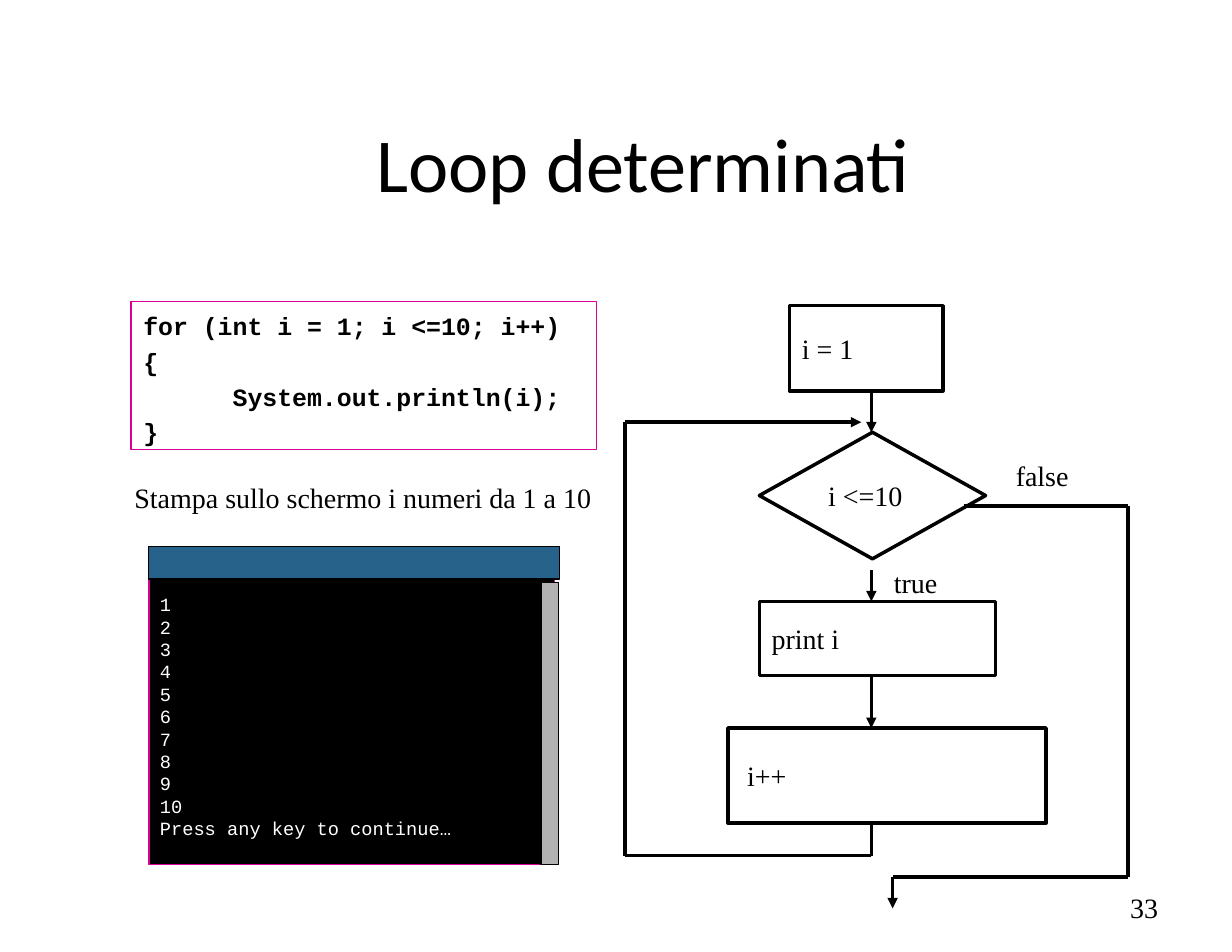
from dataclasses import dataclass, field
from itertools import pairwise

import pptx
import pptx.dml.color
import pptx.enum.shapes
import pptx.enum.text
import pptx.oxml
import pptx.oxml.ns
import pptx.util

WIDTH, HEIGHT = pptx.util.Inches(11), pptx.util.Inches(8.5)
COLS, ROWS = 110, 85

COLORS = {
    "ink": "000000",
    "paper": "FFFFFF",
    "magenta": "D60093",
    "titlebar": "26628A",
    "scrollbar": "B2B2B2",
}
SHAPES = pptx.enum.shapes.MSO_SHAPE
ALIGN = pptx.enum.text.PP_ALIGN
ANCHOR = pptx.enum.text.MSO_ANCHOR

SERIF = {"name": "Times New Roman", "size": pptx.util.Pt(18)}
TITLE = {"name": "Calibri", "size": pptx.util.Pt(49)}
CODE = {"name": "Courier New", "size": pptx.util.Pt(16), "bold": True}
CONSOLE = {"name": "Courier New", "size": pptx.util.Pt(12)}
CODE_SPACING = {"space_before": pptx.util.Pt(10), "line_spacing": 0.65}


@dataclass
class Text:
    lines: list[str]
    font: dict = field(default_factory=lambda: SERIF)
    color: str = "ink"
    align: int = ALIGN.LEFT
    anchor: int = ANCHOR.MIDDLE
    left: float = 0.11
    top: float = 0.06
    wrap: bool = True
    spacing: dict = field(default_factory=dict)


@dataclass
class Box:
    col: float
    row: float
    cols: float
    rows: float
    text: Text | None = None
    shape: int | None = SHAPES.RECTANGLE
    fill: str | None = None
    line: str = "ink"
    weight: float = 2.25
    turn: float = 0


@dataclass
class Route:
    points: list[tuple[float, float]]
    arrow: bool = True


def x(col: float) -> int:
    return round(WIDTH * col / COLS)


def y(row: float) -> int:
    return round(HEIGHT * row / ROWS)


def rgb(name: str) -> pptx.dml.color.RGBColor:
    return pptx.dml.color.RGBColor.from_string(COLORS[name])


def apply(target: object, values: dict) -> None:
    for name, value in values.items():
        setattr(target, name, value)


def write(tf: pptx.text.text.TextFrame, text: Text) -> None:
    apply(tf, {
        "word_wrap": text.wrap,
        "vertical_anchor": text.anchor,
        "margin_left": pptx.util.Inches(text.left),
        "margin_right": pptx.util.Inches(0.11),
        "margin_top": pptx.util.Inches(text.top),
        "margin_bottom": pptx.util.Inches(0.06),
    })
    for i, line in enumerate(text.lines):
        p = tf.add_paragraph() if i else tf.paragraphs[0]
        p.alignment = text.align
        if i:
            apply(p, text.spacing)
        r = p.add_run()
        r.text = line
        apply(r.font, text.font)
        r.font.color.rgb = rgb(text.color)


def draw_box(s: pptx.slide.Slide, box: Box) -> None:
    frame = x(box.col), y(box.row), x(box.cols), y(box.rows)
    if box.shape is None:
        sp = s.shapes.add_textbox(*frame)
    else:
        sp = s.shapes.add_shape(box.shape, *frame)
        sp.shadow.inherit = False
        sp.rotation = box.turn
        if box.fill:
            sp.fill.solid()
            sp.fill.fore_color.rgb = rgb(box.fill)
        else:
            sp.fill.background()
        sp.line.color.rgb = rgb(box.line)
        sp.line.width = pptx.util.Pt(box.weight)
    if box.text:
        write(sp.text_frame, box.text)


def draw_route(s: pptx.slide.Slide, route: Route) -> None:
    for start, end in pairwise(route.points):
        sp = s.shapes.add_connector(
            pptx.enum.shapes.MSO_CONNECTOR.STRAIGHT,
            x(start[0]), y(start[1]), x(end[0]), y(end[1]))
        sp.line.color.rgb = rgb("ink")
        sp.line.width = pptx.util.Pt(2.25)
        if route.arrow and end == route.points[-1]:
            tail = pptx.oxml.parse_xml(
                f'<a:tailEnd {pptx.oxml.ns.nsdecls("a")} type="triangle"/>')
            sp.line._get_or_add_ln().append(tail)
        sp._element.spPr.append(pptx.oxml.parse_xml(
            f'<a:effectLst {pptx.oxml.ns.nsdecls("a")}/>'))


def label(text: str, wrap: bool = False) -> Text:
    return Text([text], anchor=ANCHOR.TOP, wrap=wrap)


AXIS = 77.8
LOOP_COL, LOOP_TOP, LOOP_BOTTOM = 55.8, 37.7, 76.4
EXIT_COL, EXIT_TOP, EXIT_BOTTOM = 100.7, 45.2, 78.3

CODE_LINES = ["for (int i = 1; i <=10; i++)", "{", "      System.out.println(i);", "}"]
CONSOLE_LINES = [str(n) for n in range(1, 11)] + ["Press any key to continue…"]

BACK = [
    Box(29, 10.2, 56.8, 8.5, Text(["Loop determinati"], TITLE, align=ALIGN.CENTER), None),
    Box(78.8, 78.8, 25.7, 4.5, Text(["33"], align=ALIGN.RIGHT), None),
    Box(11.7, 26.9, 41.6, 13.2,
        Text(CODE_LINES, CODE, anchor=ANCHOR.TOP, top=0.08, spacing=CODE_SPACING),
        line="magenta", weight=0.75),
    Box(70.5, 27.3, 13.7, 7.6, Text(["i = 1"])),
    Box(67.8, 53.7, 21.1, 6.6, Text(["print i"])),
    Box(65, 65, 28.4, 8.5, Text(["i++"], left=0.17)),
]
ROUTES = [
    Route([(AXIS, 34.8), (AXIS, 38.6)]),
    Route([(AXIS, 50.9), (AXIS, 53.7)]),
    Route([(AXIS, 60.3), (AXIS, 65)]),
    Route([(AXIS, 73.5), (AXIS, LOOP_BOTTOM), (LOOP_COL, LOOP_BOTTOM),
           (LOOP_COL, LOOP_TOP), (76.9, LOOP_TOP)]),
    Route([(86.1, EXIT_TOP), (EXIT_COL, EXIT_TOP), (EXIT_COL, EXIT_BOTTOM),
           (79.7, EXIT_BOTTOM), (79.7, 81.1)]),
]
FRONT = [
    Box(89.6, 40.3, 7, 4.1, label("false"), None),
    Box(10.9, 42.3, 44.9, 4.1, label("Stampa sullo schermo i numeri da 1 a 10", True), None),
    Box(67.8, 38.6, 20.2, 11.3, Text(["i <=10"]), SHAPES.DIAMOND),
    Box(78.7, 49.9, 6.1, 4.1, label("true"), None),
    Box(13.3, 48.8, 36.2, 28.4, Text(CONSOLE_LINES, CONSOLE, "paper", left=0.1, top=0.25),
        fill="ink", line="magenta", weight=0.75),
    Box(13.3, 48.8, 36.7, 2.9, fill="titlebar", weight=0.75),
    Box(36.5, 63.8, 25.2, 1.6, fill="scrollbar", weight=0.75, turn=90),
]


def main() -> None:
    prs = pptx.Presentation()
    apply(prs, {"slide_width": WIDTH, "slide_height": HEIGHT})
    s = prs.slides.add_slide(prs.slide_layouts[6])
    for box in BACK:
        draw_box(s, box)
    for route in ROUTES:
        draw_route(s, route)
    for box in FRONT:
        draw_box(s, box)
    prs.save("out.pptx")


if __name__ == "__main__":
    main()
